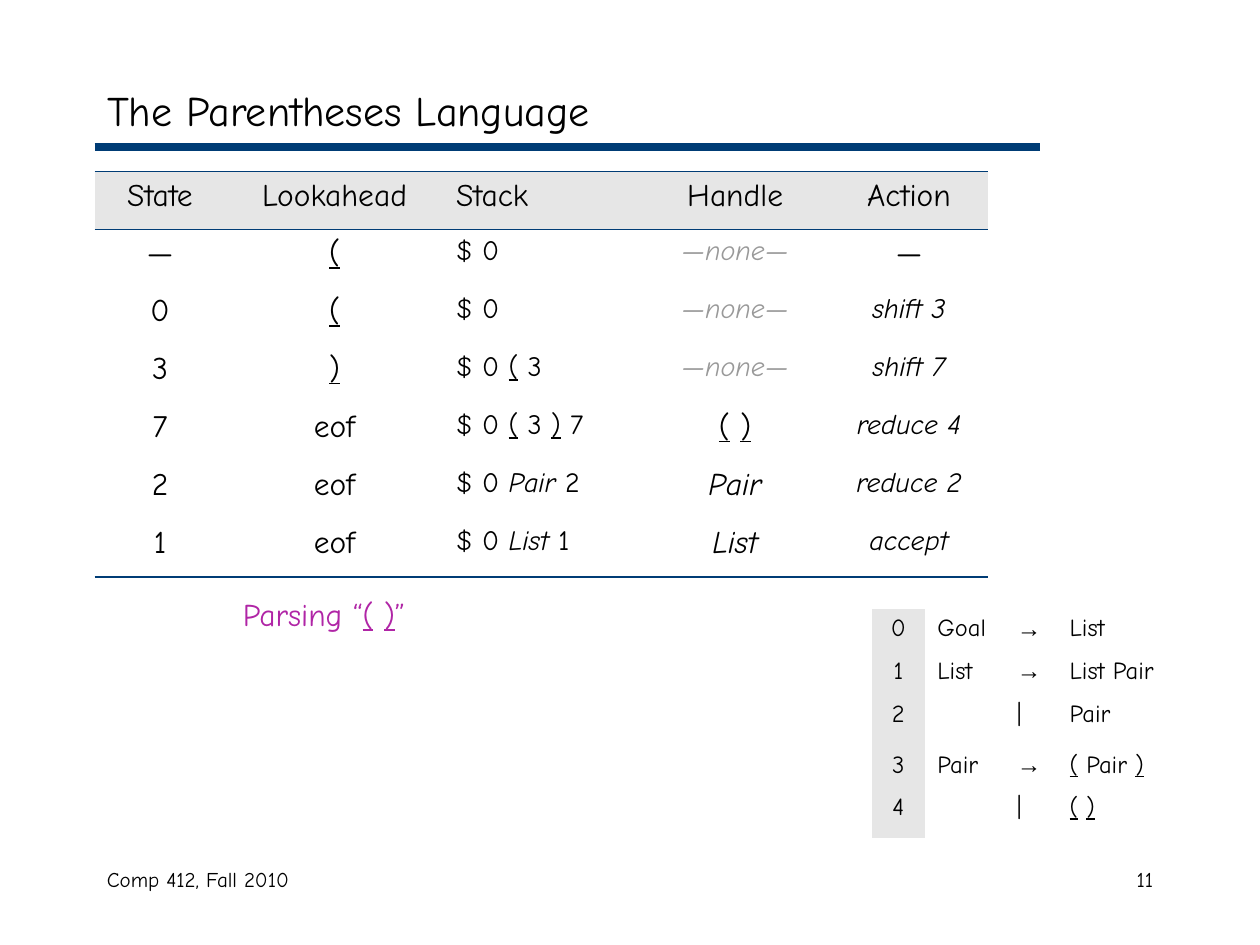
from dataclasses import dataclass

from lxml import etree
from pptx import Presentation
from pptx.dml.color import RGBColor
from pptx.enum.shapes import MSO_CONNECTOR
from pptx.enum.text import MSO_ANCHOR, PP_ALIGN
from pptx.oxml.ns import qn
from pptx.slide import Slide
from pptx.util import Inches, Pt

LEFT, CENTER, RIGHT = PP_ALIGN.LEFT, PP_ALIGN.CENTER, PP_ALIGN.RIGHT
MIDDLE = MSO_ANCHOR.MIDDLE
STRAIGHT = MSO_CONNECTOR.STRAIGHT
TITLE_ONLY = 5

TRACE = [
    ["State", "Lookahead", "Stack", "Handle", "Action"],
    ["—", "_(_", "$ 0", "*—none—*", "—"],
    ["0", "_(_", "$ 0", "*—none—*", "*shift 3*"],
    ["3", "_)_", "$ 0 _(_ 3", "*—none—*", "*shift 7*"],
    ["7", "eof", "$ 0 _(_ 3 _)_ 7", "_(_ _)_", "*reduce 4*"],
    ["2", "eof", "$ 0 *Pair* 2", "*Pair*", "*reduce 2*"],
    ["1", "eof", "$ 0 *List* 1", "*List*", "*accept*"],
]
STACK, ACTION = 2, 4

GRAMMAR = [
    ["0", "Goal", "→", "List"],
    ["1", "List", "→", "List Pair"],
    ["2", "", "|", "Pair"],
    ["3", "Pair", "→", "_(_ Pair _)_"],
    ["4", "", "|", "_(_ _)_"],
]


def color(value):
    return RGBColor.from_string(value)


def split_marks(text):
    marks = {"_": False, "*": False}
    piece = ""
    for letter in text:
        if letter not in marks:
            piece += letter
            continue
        if piece:
            yield piece, marks["_"], marks["*"]
        piece = ""
        marks[letter] = not marks[letter]
    if piece:
        yield piece, marks["_"], marks["*"]


def write_text(frame, text, size=18, font="Comic Neue", fill="000000", align=LEFT):
    paragraph = frame.paragraphs[0]
    paragraph.alignment = align
    for piece, underline, italic in split_marks(text):
        run = paragraph.add_run()
        run.text = piece
        run.font.size = Pt(size)
        run.font.name = font
        run.font.color.rgb = color(fill)
        run.font.underline = underline
        run.font.italic = italic


def set_borders(cell, top=0, bottom=0, fill="003C75"):
    properties = cell._tc.get_or_add_tcPr()
    for side, width in (("L", 0), ("R", 0), ("T", top), ("B", bottom)):
        border = etree.SubElement(properties, qn(f"a:ln{side}"), w=str(Pt(width)))
        if width:
            solid = etree.SubElement(border, qn("a:solidFill"))
            etree.SubElement(solid, qn("a:srgbClr"), val=fill)
        else:
            etree.SubElement(border, qn("a:noFill"))


@dataclass
class SlideBuilder:
    slide: Slide
    accent: str = "003C75"
    shade: str = "E6E6E6"
    muted: str = "999999"
    highlight: str = "B025A6"
    thick: float = 1.08
    thin: float = 0.45

    def title(self, text, left, top, width, height):
        shape = self.slide.shapes.title
        shape.left, shape.top = Inches(left), Inches(top)
        shape.width, shape.height = Inches(width), Inches(height)
        shape.text_frame.vertical_anchor = MIDDLE
        write_text(shape.text_frame, text, size=24)

    def rule(self, left, top, right):
        line = self.slide.shapes.add_connector(
            STRAIGHT, Inches(left), Inches(top), Inches(right), Inches(top))
        line.line.color.rgb = color(self.accent)
        line.line.width = Pt(4.5)
        etree.SubElement(line._element.spPr, qn("a:effectLst"))

    def text(self, text, left, top, width, height, **style):
        shape = self.slide.shapes.add_textbox(
            Inches(left), Inches(top), Inches(width), Inches(height))
        shape.text_frame.word_wrap = True
        write_text(shape.text_frame, text, **style)

    def table(self, rows, left, top, widths, row_height):
        table = self.slide.shapes.add_table(
            len(rows), len(widths), Inches(left), Inches(top),
            Inches(sum(widths)), Inches(row_height * len(rows))).table
        table.first_row = False
        table.horz_banding = False
        for column, width in zip(table.columns, widths):
            column.width = Inches(width)
        for row in table.rows:
            row.height = Inches(row_height)
        return table

    def trace_table(self, rows, left, top, widths, row_height):
        table = self.table(rows, left, top, widths, row_height)
        tops = {0: self.thick, 1: self.thin}
        bottoms = {0: self.thin, len(rows) - 1: self.thick}
        for row, texts in enumerate(rows):
            for column, text in enumerate(texts):
                cell = table.cell(row, column)
                set_borders(cell, tops.get(row, 0), bottoms.get(row, 0), self.accent)
                if row == 0:
                    cell.fill.solid()
                    cell.fill.fore_color.rgb = color(self.shade)
                else:
                    cell.fill.background()
                empty_handle = "none" in text
                small = empty_handle or row > 0 and (
                    column == STACK or column == ACTION and text != "—")
                write_text(
                    cell.text_frame, text,
                    size=16 if small else 18,
                    fill=self.muted if empty_handle else "000000",
                    align=LEFT if column == STACK else CENTER)

    def grammar_table(self, rows, left, top, widths, row_height):
        table = self.table(rows, left, top, widths, row_height)
        for row, texts in enumerate(rows):
            for column, text in enumerate(texts):
                cell = table.cell(row, column)
                set_borders(cell)
                cell.fill.solid()
                cell.fill.fore_color.rgb = color("FFFFFF" if column else self.shade)
                write_text(
                    cell.text_frame, text, size=14,
                    font="Arial" if text == "→" else "Comic Neue",
                    align=LEFT if column else CENTER)


def main():
    presentation = Presentation()
    presentation.slide_width = Inches(10)
    presentation.slide_height = Inches(7.5)
    slide = presentation.slides.add_slide(presentation.slide_layouts[TITLE_ONLY])
    builder = SlideBuilder(slide)
    builder.rule(0.75, 1.17, 8.25)
    builder.text("Comp 412, Fall 2010", 0.75, 6.83, 3.17, 0.5, size=12)
    builder.text("11", 7.17, 6.83, 2.08, 0.5, size=12, align=RIGHT)
    builder.title("The Parentheses Language", 0.75, 0.58, 8.5, 0.58)
    builder.grammar_table(GRAMMAR, 6.92, 4.83, [0.42, 0.63, 0.42, 1.12], 0.34)
    builder.trace_table(TRACE, 0.75, 1.36, [1.04, 1.73, 1.56, 1.51, 1.25], 0.46)
    builder.text("Parsing “_(_ _)_”", 1.83, 4.67, 2.58, 0.4, fill=builder.highlight)
    presentation.save("out.pptx")


if __name__ == "__main__":
    main()
